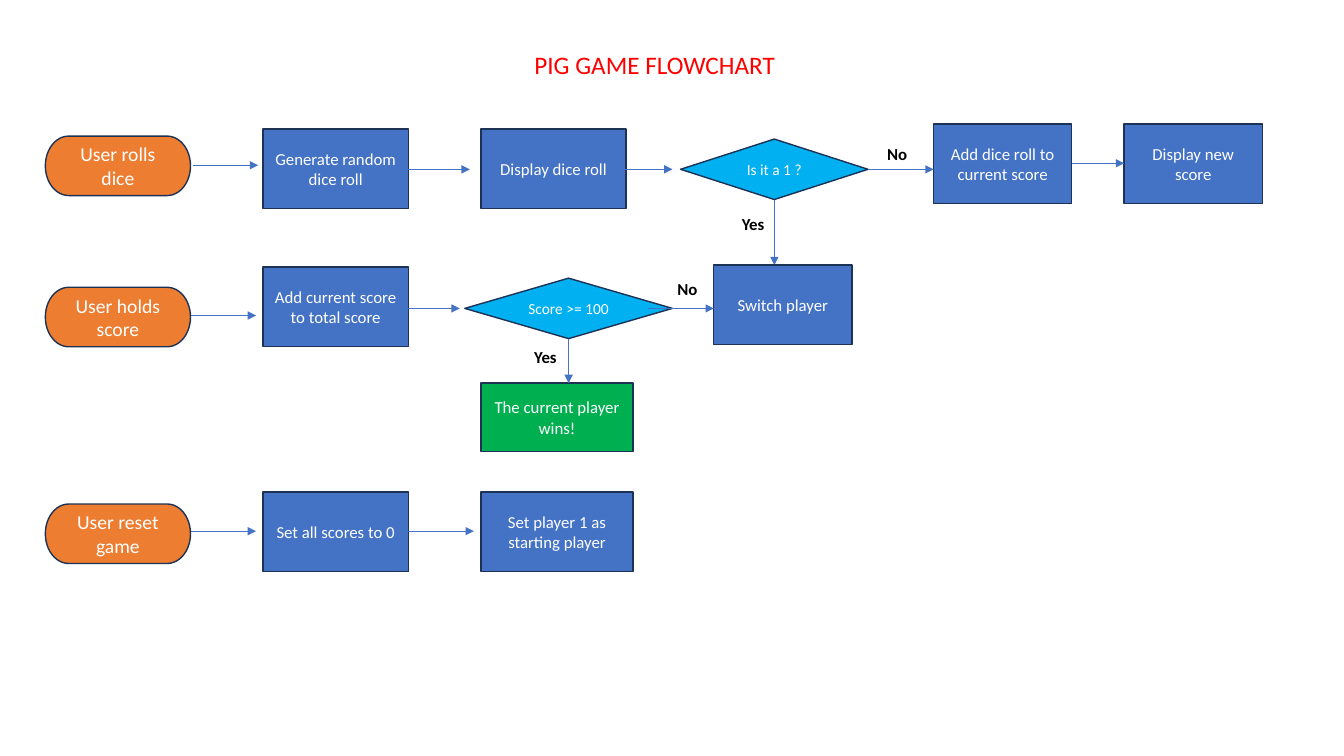
from dataclasses import dataclass
from lxml.etree import SubElement as Sub
from pptx import Presentation
from pptx.dml.color import RGBColor as RGB
from pptx.enum.shapes import MSO_CONNECTOR as Conn, MSO_SHAPE as Shape
from pptx.enum.text import MSO_ANCHOR as Anchor, MSO_AUTO_SIZE as Auto, PP_ALIGN as Align
from pptx.oxml.ns import qn
from pptx.util import Inches, Pt


@dataclass(frozen=True)
class Theme:
    """Colours, type sizes and line widths of the flowchart."""
    font: str = "Calibri"
    start: str = "ED7D31"
    step: str = "4472C4"
    test: str = "00B0F0"
    win: str = "00B050"
    edge: str = "1E3256"
    title: str = "FF0000"
    dark: str = "000000"
    light: str = "FFFFFF"
    head: int = 18
    large: int = 14
    body: int = 12
    small: int = 11
    rim: float = 1
    wire: float = 0.5


T = Theme()
KINDS = {
    "start": (Shape.FLOWCHART_TERMINATOR, T.start, T.large),
    "step": (Shape.RECTANGLE, T.step, T.body),
    "test": (Shape.FLOWCHART_DECISION, T.test, T.small),
    "win": (Shape.RECTANGLE, T.win, T.body),
}


def write(frame, text, size, color, align=Align.LEFT, bold=False):
    """Put one formatted run into a text frame."""
    frame.word_wrap = True
    para = frame.paragraphs[0]
    para.alignment = align
    run = para.add_run()
    run.text = text
    font = run.font
    font.name, font.size, font.bold = T.font, Pt(size), bold
    font.color.rgb = RGB.from_string(color)


def node(slide, kind, text, x, y, w, h):
    """Draw one flowchart node of the given kind."""
    form, fill, size = KINDS[kind]
    item = slide.shapes.add_shape(form, *map(Inches, (x, y, w, h)))
    item.shadow.inherit = False
    item.fill.solid()
    item.fill.fore_color.rgb = RGB.from_string(fill)
    item.line.color.rgb = RGB.from_string(T.edge)
    item.line.width = Pt(T.rim)
    item.text_frame.vertical_anchor = Anchor.MIDDLE
    write(item.text_frame, text, size, T.light, Align.CENTER)


def arrow(slide, x, y, dx=0.65, dy=0):
    """Draw an arrow from a point by the given offset."""
    ends = map(Inches, (x, y, x + dx, y + dy))
    link = slide.shapes.add_connector(Conn.STRAIGHT, *ends)
    link.line.color.rgb = RGB.from_string(T.step)
    link.line.width = Pt(T.wire)
    Sub(link.line._get_or_add_ln(), qn("a:tailEnd"), type="triangle")
    Sub(link._element.spPr, qn("a:effectLst"))


def label(slide, text, x, y):
    """Write a bold branch label."""
    box = slide.shapes.add_textbox(*map(Inches, (x, y, 0.5, 0.3)))
    write(box.text_frame, text, T.body, T.dark, bold=True)


def heading(slide, x, y, w, h):
    """Place and format the slide title."""
    title = slide.shapes.title
    title.left, title.top, title.width, title.height = map(Inches, (x, y, w, h))
    frame = title.text_frame
    frame.auto_size = Auto.NONE
    frame.vertical_anchor = Anchor.TOP
    write(frame, "PIG GAME FLOWCHART", T.head, T.title)


def lead(slide, x, y, gap, start, step):
    """Draw a start node and its first step, set gap above the start."""
    node(slide, "start", start, x, y + gap, 1.44, 0.59)
    node(slide, "step", step, x + 2.16, y, 1.44, 0.79)


def roll(slide, x, y):
    """Draw the row for rolling the dice."""
    lead(slide, x, y, 0.07, "User rolls dice", "Generate random dice roll")
    node(slide, "step", "Display dice roll", x + 4.32, y, 1.44, 0.79)
    node(slide, "test", "Is it a 1 ?", x + 6.3, y + 0.1, 1.86, 0.6)
    for dx, text in ((8.81, "Add dice roll to current score"), (10.7, "Display new score")):
        node(slide, "step", text, x + dx, y - 0.05, 1.37, 0.79)
    arrow(slide, x + 1.46, y + 0.36)
    for dx in (3.56, 5.57, 8.16):
        arrow(slide, x + dx, y + 0.4)
    arrow(slide, x + 10.18, y + 0.34, 0.52)
    arrow(slide, x + 7.23, y + 0.7, 0, 0.65)
    label(slide, "No", x + 8.25, y + 0.1)
    label(slide, "Yes", x + 6.81, y + 0.79)


def hold(slide, x, y):
    """Draw the row for holding the score."""
    lead(slide, x, y, 0.2, "User holds score", "Add current score to total score")
    node(slide, "test", "Score >= 100", x + 4.16, y + 0.11, 2.06, 0.6)
    node(slide, "step", "Switch player", x + 6.63, y - 0.02, 1.37, 0.79)
    node(slide, "win", "The current player wins!", x + 4.32, y + 1.15, 1.51, 0.68)
    arrow(slide, x + 1.44, y + 0.48)
    for dx in (3.46, 5.98):
        arrow(slide, x + dx, y + 0.41)
    arrow(slide, x + 5.19, y + 0.71, 0, 0.44)
    label(slide, "No", x + 6.17, y + 0.07)
    label(slide, "Yes", x + 4.75, y + 0.74)


def reset(slide, x, y):
    """Draw the row for resetting the game."""
    lead(slide, x, y, 0.12, "User reset game", "Set all scores to 0")
    node(slide, "step", "Set player 1 as starting player", x + 4.32, y, 1.51, 0.79)
    for dx in (1.44, 3.6):
        arrow(slide, x + dx, y + 0.39)


def main():
    """Build the flowchart slide and save it."""
    deck = Presentation()
    deck.slide_width, deck.slide_height = Inches(13.33), Inches(7.5)
    slide = deck.slides.add_slide(deck.slide_layouts[5])
    heading(slide, 5.2, 0.44, 2.78, 0.4)
    for draw, top in ((roll, 1.28), (hold, 2.65), (reset, 4.88)):
        draw(slide, 0.45, top)
    deck.save("out.pptx")


main()
